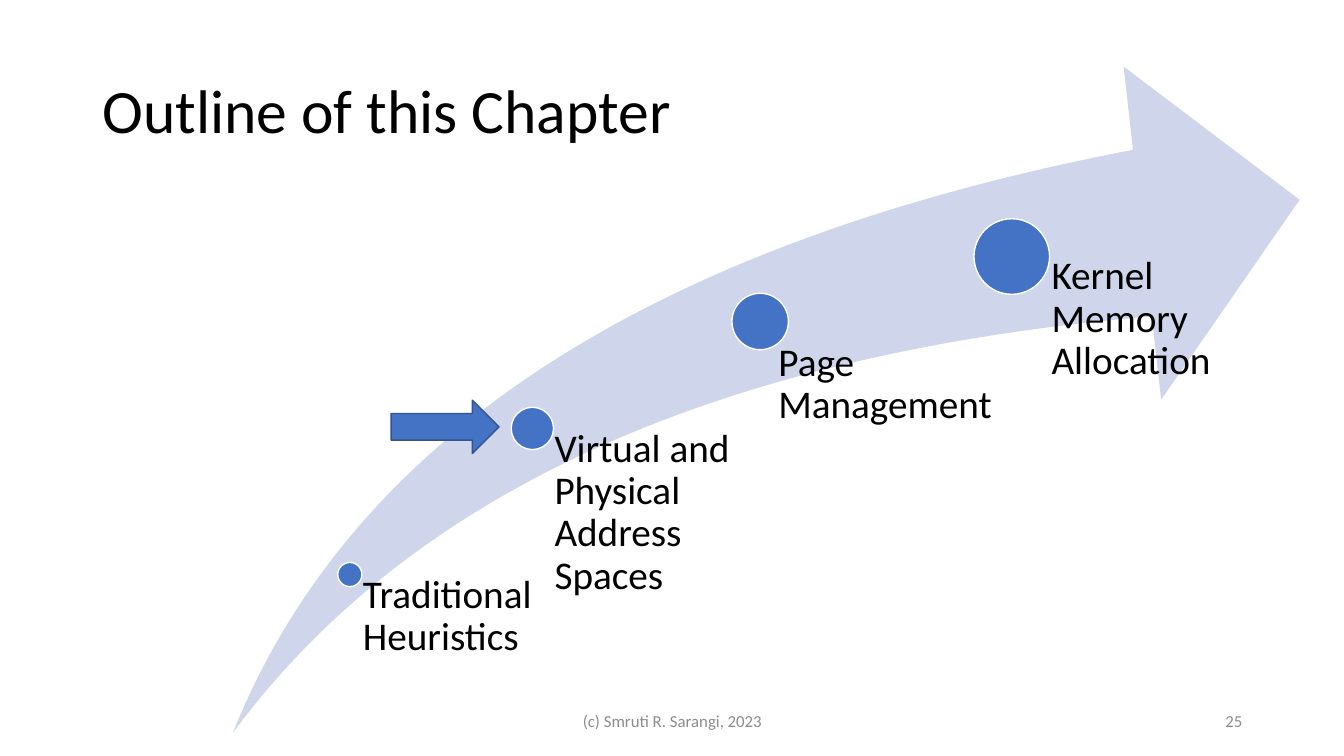
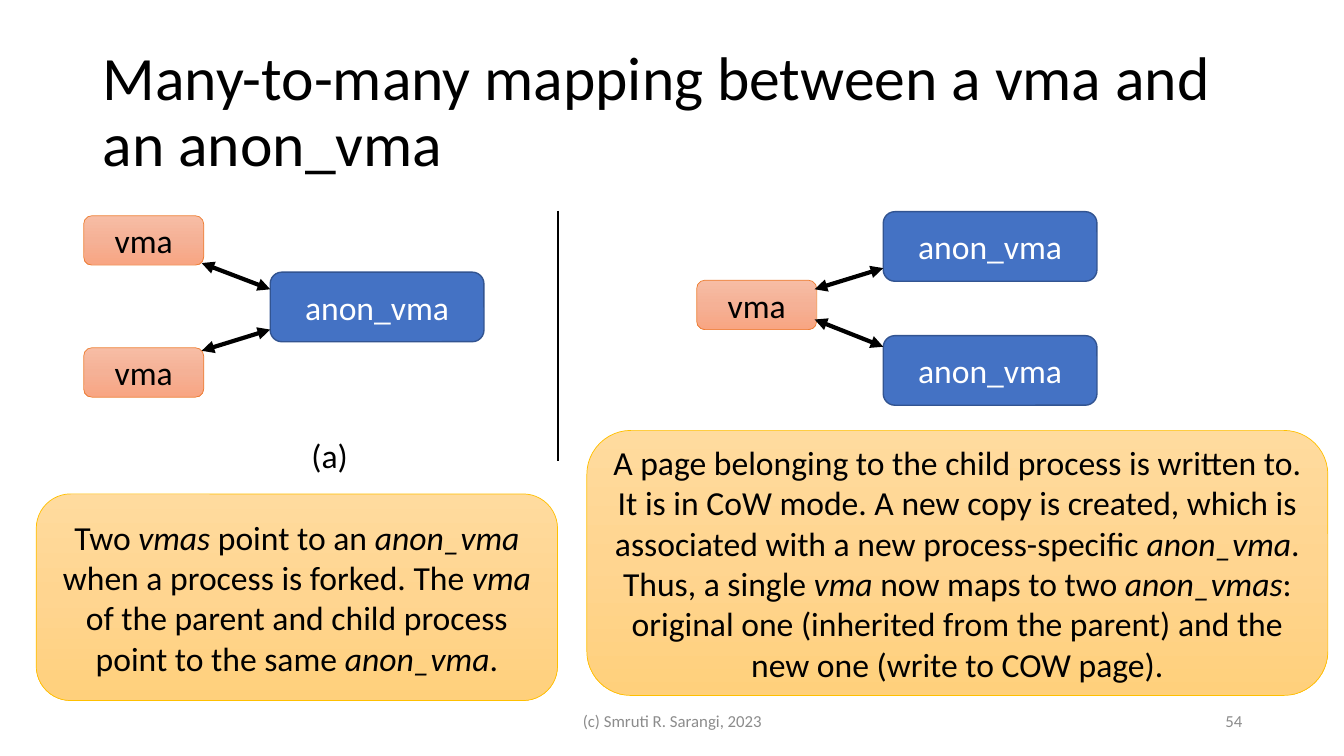
import copy
import pptx
import pptx.util
import pptx.dml.color
import pptx.enum.shapes
import pptx.enum.text
import pptx.oxml
import pptx.oxml.ns

PX = 9144  # one px is a hundredth of an inch
FONT = "Calibri"
HUES = {
    "black": "000000", "white": "FFFFFF", "grey": "8C8C8C",
    "blue": "4472C4", "navy": "325491", "pale": "CFD5EA",
    "rust": "ED7D31", "gold": "FFC000",
}
PEACH = ["F7BDA5", "F5B196", "F8A582"]
SAND = ["FFDB9E", "FFD590", "FFD07C"]

KIND = pptx.enum.shapes.MSO_SHAPE
ALIGN = pptx.enum.text.PP_ALIGN
ANCHOR = pptx.enum.text.MSO_ANCHOR


def rgb(code):
    return pptx.dml.color.RGBColor.from_string(code)


def place(*nums):
    return [pptx.util.Emu(n * PX) for n in nums]


# Basic parts

def text(host, words, size=24, hue="black", align=ALIGN.LEFT,
         anchor=ANCHOR.TOP, lead=1.0, pads=None):
    """Write words into a shape; *stars* mark italics, \n breaks a line."""
    frame = host.text_frame
    frame.word_wrap = True
    frame.vertical_anchor = anchor
    if pads:
        (frame.margin_left, frame.margin_top,
         frame.margin_right, frame.margin_bottom) = place(*pads)
    para = frame.paragraphs[0]
    para.alignment = align
    para.line_spacing = lead
    for i, part in enumerate(words.split("*")):
        for j, line in enumerate(part.split("\n")):
            if j:
                para.add_line_break()
            run = para.add_run()
            run.text = line
            run.font.name = FONT
            run.font.size = pptx.util.Pt(size)
            run.font.color.rgb = rgb(HUES[hue])
            if i % 2:
                run.font.italic = True


def label(slide, box, words, **form):
    text(slide.shapes.add_textbox(*place(*box)), words, **form)


def blend(fill, shape, codes):
    """Fill from top to bottom with three colours."""
    fill.gradient()
    fill.gradient_angle = 270
    stops = shape._element.spPr.find(".//" + pptx.oxml.ns.qn("a:gsLst"))
    stops.insert(1, copy.deepcopy(stops[0]))
    for i, stop in enumerate(fill.gradient_stops):
        stop.position = i / 2
        stop.color.rgb = rgb(codes[i])


def draw(slide, kind, box, fill, edge=None, width=1):
    shape = slide.shapes.add_shape(kind, *place(*box))
    shape.shadow.inherit = False
    if isinstance(fill, list):
        blend(shape.fill, shape, fill)
    else:
        shape.fill.solid()
        shape.fill.fore_color.rgb = rgb(HUES[fill])
    if edge:
        shape.line.color.rgb = rgb(HUES[edge])
        shape.line.width = pptx.util.Pt(width)
    else:
        shape.line.fill.background()
    return shape


def block(slide, box, words, fill, edge, width=1, hue="black"):
    shape = draw(slide, KIND.ROUNDED_RECTANGLE, box, fill, edge, width)
    text(shape, words, hue=hue, align=ALIGN.CENTER, anchor=ANCHOR.MIDDLE)


def rule(slide, ends, width, tips=False):
    line = slide.shapes.add_connector(
        pptx.enum.shapes.MSO_CONNECTOR.STRAIGHT, *place(*ends))
    line.line.color.rgb = rgb(HUES["black"])
    line.line.width = pptx.util.Pt(width)
    if tips:
        for name in ("a:headEnd", "a:tailEnd"):
            tip = pptx.oxml.ns.qn(name)
            line.line._ln.append(line.line._ln.makeelement(
                tip, {"type": "triangle"}))
    props = line._element.spPr
    props.append(props.makeelement(pptx.oxml.ns.qn("a:effectLst"), {}))


# What the slides share

def start(deck, title, page):
    slide = deck.slides.add_slide(deck.slide_layouts[6])
    label(slide, (92, 40, 1150, 145), title, size=44,
          anchor=ANCHOR.MIDDLE, lead=0.9)
    foot = dict(size=12, hue="grey", anchor=ANCHOR.MIDDLE)
    label(slide, (442, 695, 450, 40), "(c) Smruti R. Sarangi, 2023",
          align=ALIGN.CENTER, **foot)
    label(slide, (942, 695, 300, 40), str(page), align=ALIGN.RIGHT, **foot)
    return slide


# Slide 1: topics along a rising arrow

# centre x, centre y, dot size, label shift x, y, width, inset, words
STEPS = [
    (116, 504, 24, 0, 0, 181, 13, "Traditional Heuristics"),
    (297, 359, 42, 0, 0, 222, 22, "Virtual and Physical Address Spaces"),
    (523, 253, 56, -12, 21, 375, 30, "Page\nManagement"),
    (772, 188, 75, 0, 0, 222, 40, "Kernel Memory Allocation"),
]


def climb(slide, box, now):
    left, top, wide, high = box
    swoosh = draw(slide, KIND.SWOOSH_ARROW, box, "pale")
    swoosh.adjustments[0] = swoosh.adjustments[1] = 0.25
    for x, y, size, dx, dy, span, pad, words in STEPS:
        draw(slide, KIND.OVAL,
             (left + x - size // 2, top + y - size // 2, size, size),
             "blue", "white")
        label(slide, (left + x + dx, top + y + dy, span, high - y - dy),
              words, size=28, lead=0.9, pads=(pad, 0, 0, 0))
    # Pointer to the current topic
    x, y = STEPS[now][:2]
    draw(slide, KIND.RIGHT_ARROW, (left + x - 140, top + y - 28, 107, 53),
         "blue", "navy")


# Slide 2: two mappings, each with a note

def fan(slide, left, top, vmas, anons, links):
    for y in vmas:
        block(slide, (left, top + y, 119, 49), "vma", PEACH, "rust", 0.5)
    for y in anons:
        block(slide, (left + 185, top + y, 212, 69), "anon_vma",
              "blue", "navy", hue="white")
    for a, b in links:
        rule(slide, (left + 117, top + a, left + 185, top + b), 3, tips=True)


def note(slide, box, words):
    block(slide, box, words, SAND, "gold", 0.5)


def main():
    deck = pptx.Presentation()
    deck.slide_width, deck.slide_height = place(1333, 750)

    slide = start(deck, "Outline of this Chapter", 25)
    climb(slide, (231, 66, 1058, 661), now=1)

    slide = start(
        deck, "Many-to-many mapping between a vma and an anon_vma", 54)
    fan(slide, 83, 210, [4, 135], [60], [(138, 117), (51, 77)])
    fan(slide, 691, 210, [68], [0, 123], [(107, 134), (77, 56)])
    rule(slide, (553, 209, 553, 457), 1.5)
    label(slide, (299, 427, 59, 50), "(a)")
    note(slide, (36, 490, 517, 205),
         "Two *vmas* point to an *anon_vma *when a process is forked. "
         "The *vma* of the parent and child process point to the same "
         "*anon_vma*.")
    note(slide, (582, 427, 735, 263),
         "A page belonging to the child process is written to. It is in "
         "CoW mode. A new copy is created, which is associated with a new "
         "process-specific *anon_vma*. Thus, a single *vma* now maps to "
         "two *anon_vmas*: original one (inherited from the parent) and "
         "the new one (write to COW page).")

    deck.save("out.pptx")


if __name__ == "__main__":
    main()
